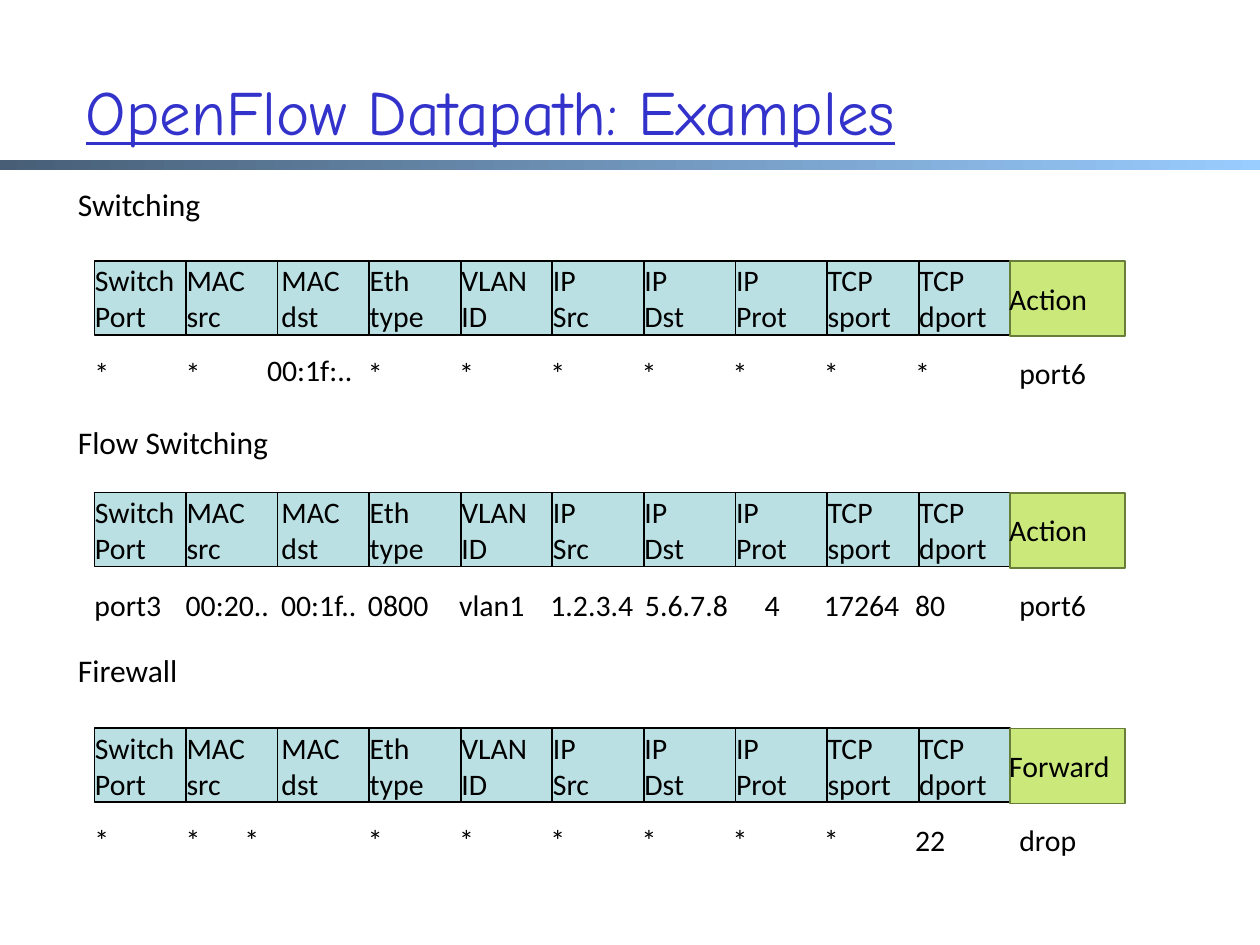
from dataclasses import dataclass, field

from pptx import Presentation
from pptx.dml.color import RGBColor
from pptx.enum.shapes import MSO_SHAPE
from pptx.enum.text import MSO_ANCHOR, MSO_AUTO_SIZE, PP_ALIGN
from pptx.shapes.autoshape import Shape
from pptx.util import Pt

BLACK = RGBColor(0x00, 0x00, 0x00)
TITLE_BLUE = RGBColor(0x33, 0x33, 0xCC)
BAND_DARK = RGBColor(0x47, 0x5E, 0x76)
BAND_LIGHT = RGBColor(0x99, 0xCC, 0xFF)
FIELD_FILL = RGBColor(0xBB, 0xE0, 0xE3)
ACTION_FILL = RGBColor(0xCB, 0xE9, 0x7B)
ACTION_LINE = RGBColor(0x69, 0x7D, 0x3A)

# Grid, in points
FIELD_LEFT, FIELD_PITCH, FIELD_HEIGHT = 54, 52.33, 42.3
VALUE_PITCH, VALUE_DROP = 52.1, 51.2
ACTION_LEFT, ACTION_WIDTH = 577.3, 65.5
LINE_HEIGHT = 25.2

FIELDS = ["Switch\nPort", "MAC\nsrc", "MAC\ndst", "Eth\ntype", "VLAN\nID",
          "IP\nSrc", "IP\nDst", "IP\nProt", "TCP\nsport", "TCP\ndport"]
LABEL_SHIFTS = {2: 2.2}  # "MAC dst" sits a little right of its cell edge


@dataclass
class FlowRule:
    heading: str
    heading_top: float
    table_top: float
    values: list[str]
    action_label: str
    action: str
    value_shifts: dict[int, tuple[float, float]] = field(default_factory=dict)


RULES = [
    FlowRule("Switching", 105.8, 149,
             ["*", "*", "00:1f:..", "*", "*", "*", "*", "*", "*", "*"],
             "Action", "port6", {2: (-5.6, -1.4)}),
    FlowRule("Flow Switching", 241.9, 281.5,
             ["port3", "00:20..", "00:1f..", "0800", "vlan1",
              "1.2.3.4", "5.6.7.8", "4", "17264", "80"],
             "Action", "port6", {2: (2.4, 0), 6: (2, 0), 7: (18.2, 0)}),
    FlowRule("Firewall", 372.2, 416.2,
             ["*", "*", "*", "*", "*", "*", "*", "*", "*", "22"],
             "Forward", "drop", {2: (-18.5, 0)}),
]


def add_text(shapes, text: str, left: float, top: float, *, width: float = 52,
             height: float = LINE_HEIGHT, size: float = 17,
             wrap: bool = True) -> Shape:
    """Place a margin-free text box, one paragraph for each line."""
    box = shapes.add_textbox(Pt(left), Pt(top), Pt(width), Pt(height))
    frame = box.text_frame
    frame.margin_left = frame.margin_right = Pt(0)
    frame.margin_top = frame.margin_bottom = Pt(0)
    frame.vertical_anchor = MSO_ANCHOR.MIDDLE
    frame.word_wrap = wrap
    frame.auto_size = MSO_AUTO_SIZE.NONE if wrap else MSO_AUTO_SIZE.SHAPE_TO_FIT_TEXT
    frame.text = text
    for para in frame.paragraphs:
        para.font.name = "Calibri"
        para.font.size = Pt(size)
        para.font.color.rgb = BLACK
    return box


def add_cell(shapes, left: float, top: float, width: float, height: float,
             fill: RGBColor, line: RGBColor) -> Shape:
    cell = shapes.add_shape(MSO_SHAPE.RECTANGLE, Pt(left), Pt(top), Pt(width), Pt(height))
    cell.shadow.inherit = False
    cell.fill.solid()
    cell.fill.fore_color.rgb = fill
    cell.line.color.rgb = line
    cell.line.width = Pt(1)
    return cell


def add_header(page, top: float, action_label: str) -> None:
    """Draw the grouped match fields and the action cell."""
    shapes = page.shapes.add_group_shape().shapes
    for column, name in enumerate(FIELDS):
        left = FIELD_LEFT + column * FIELD_PITCH
        add_cell(shapes, left, top, FIELD_PITCH, FIELD_HEIGHT, FIELD_FILL, BLACK)
        add_text(shapes, name, left + LABEL_SHIFTS.get(column, 0.3), top - 1.2, height=44.6)
    add_cell(shapes, ACTION_LEFT, top, ACTION_WIDTH, 43, ACTION_FILL, ACTION_LINE)
    add_text(shapes, action_label, ACTION_LEFT - 0.6, top + 8.8, width=66)


def add_rule(page, rule: FlowRule) -> None:
    add_text(page.shapes, rule.heading, 44.5, rule.heading_top,
             width=len(rule.heading) * 7.8, height=21.6, size=18, wrap=False)
    add_header(page, rule.table_top, rule.action_label)
    value_top = rule.table_top + VALUE_DROP
    for column, value in enumerate(rule.values):
        shift_x, shift_y = rule.value_shifts.get(column, (0, 0))
        add_text(page.shapes, value, FIELD_LEFT + column * VALUE_PITCH + shift_x,
                 value_top + shift_y, width=68 if column == 2 else 52)
    add_text(page.shapes, rule.action, 582.5, value_top)


def add_title(page, text: str) -> None:
    title = page.shapes.title
    title.left, title.top, title.width, title.height = Pt(41.8), Pt(18), Pt(632), Pt(90)
    title.text_frame.text = text
    title.text_frame.vertical_anchor = MSO_ANCHOR.MIDDLE
    para = title.text_frame.paragraphs[0]
    para.alignment = PP_ALIGN.LEFT
    span = para.runs[0]
    span.font.name = "Comic Neue"
    span.font.size = Pt(36)
    span.font.underline = True
    span.font.color.rgb = TITLE_BLUE


def add_band(page) -> None:
    band = page.shapes.add_shape(MSO_SHAPE.RECTANGLE, Pt(0), Pt(91.4), Pt(720), Pt(5.8))
    band.shadow.inherit = False
    band.line.fill.background()
    band.fill.gradient()
    band.fill.gradient_angle = 0
    for stop, color, position in zip(band.fill.gradient_stops,
                                     (BAND_DARK, BAND_LIGHT), (0, 1)):
        stop.color.rgb = color
        stop.position = position


def main() -> None:
    deck = Presentation()
    deck.slide_width, deck.slide_height = Pt(720), Pt(540)
    page = deck.slides.add_slide(deck.slide_layouts[5])

    # Title and the band below it
    add_band(page)
    add_title(page, "OpenFlow Datapath: Examples")

    # One match table for each example
    for rule in RULES:
        add_rule(page, rule)

    deck.save("out.pptx")


if __name__ == "__main__":
    main()
